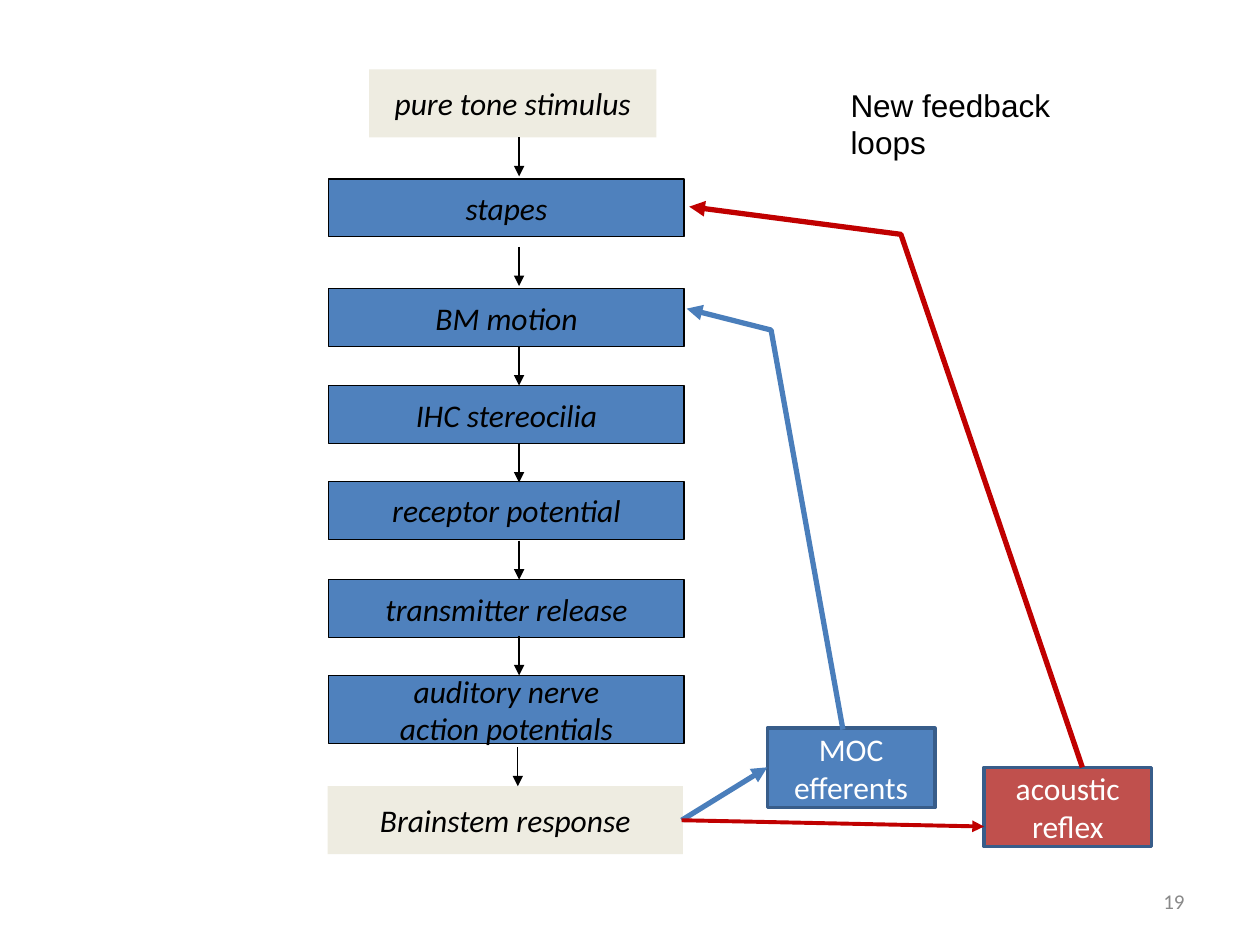
import pptx
import pptx.util
import pptx.dml.color
import pptx.enum.shapes
import pptx.enum.text
import pptx.oxml
import pptx.oxml.ns
from pptx.util import Inches

ALIGN = pptx.enum.text.PP_ALIGN
ANCHOR = pptx.enum.text.MSO_ANCHOR
BLACK, WHITE, GRAY = "000000", "FFFFFF", "898989"
BLUE, BEIGE, RED = "4F81BD", "EEECE1", "C0504D"
EDGE, BLUE_LOOP, RED_LOOP = "385D8A", "4A7EBB", "C00000"


def rgb(color):
    return pptx.dml.color.RGBColor.from_string(color)


class Diagram:
    font = "Calibri"
    size = 18

    def __init__(self, slide):
        self.s = slide

    def text(self, tf, lines, color, align, anchor, size=None, font=None, italic=False):
        tf.auto_size = pptx.enum.text.MSO_AUTO_SIZE.NONE
        tf.vertical_anchor = anchor
        for i, line in enumerate(lines):
            p = tf.add_paragraph() if i else tf.paragraphs[0]
            p.alignment = align
            r = p.add_run()
            r.text = line
            r.font.name = font or self.font
            r.font.size = pptx.util.Pt(size or self.size)
            r.font.italic = italic
            r.font.color.rgb = rgb(color)

    def title(self, text, x, y, w, h):
        sp = self.s.shapes.title
        sp.left, sp.top, sp.width, sp.height = map(Inches, (x, y, w, h))
        sp.text_frame.word_wrap = False
        self.text(sp.text_frame, [text], BLACK, ALIGN.LEFT, ANCHOR.TOP, font="Arial")

    def number(self, text, x, y, w, h):
        sp = self.s.shapes.add_textbox(*map(Inches, (x, y, w, h)))
        sp.text_frame.word_wrap = True
        self.text(sp.text_frame, [text], GRAY, ALIGN.RIGHT, ANCHOR.MIDDLE, size=12)

    def box(self, lines, x, y, w, h, fill, line=None, width=0.75, color=BLACK, italic=True):
        rect = pptx.enum.shapes.MSO_SHAPE.RECTANGLE
        sp = self.s.shapes.add_shape(rect, *map(Inches, (x, y, w, h)))
        sp.shadow.inherit = False
        sp.fill.solid()
        sp.fill.fore_color.rgb = rgb(fill)
        if line:
            self.stroke(sp, line, width)
        else:
            sp.line.fill.background()
        sp.text_frame.word_wrap = not italic
        self.text(sp.text_frame, lines, color, ALIGN.CENTER, ANCHOR.MIDDLE, italic=italic)

    def stroke(self, sp, color, width):
        sp.line.color.rgb = rgb(color)
        sp.line.width = pptx.util.Pt(width)

    def head(self, sp):
        ln = sp.line._get_or_add_ln()
        tail = pptx.oxml.parse_xml(
            "<a:tailEnd %s type='triangle'/>" % pptx.oxml.ns.nsdecls("a"))
        ln.append(tail)

    def arrow(self, start, end, color=BLACK, width=0.75):
        kind = pptx.enum.shapes.MSO_CONNECTOR.STRAIGHT
        c = self.s.shapes.add_connector(kind, *map(Inches, start + end))
        c._element.spPr.append(
            pptx.oxml.parse_xml("<a:effectLst %s/>" % pptx.oxml.ns.nsdecls("a")))
        self.stroke(c, color, width)
        self.head(c)

    def loop(self, points, color):
        pts = [tuple(map(Inches, p)) for p in points]
        fb = self.s.shapes.build_freeform(*pts[0])
        fb.add_line_segments(pts[1:], close=False)
        sp = fb.convert_to_shape()
        sp.shadow.inherit = False
        sp.fill.background()
        self.stroke(sp, color, 3)
        self.head(sp)


def main():
    prs = pptx.Presentation()
    prs.slide_width, prs.slide_height = Inches(10), Inches(7.5)
    d = Diagram(prs.slides.add_slide(prs.slide_layouts[5]))

    d.title("New feedback loops", 6.65, 0.63, 2.45, 0.4)

    stages = [
        (["stapes"], 1.42, 0.46),
        (["BM motion"], 2.29, 0.46),
        (["IHC stereocilia"], 3.06, 0.46),
        (["receptor potential"], 3.82, 0.46),
        (["transmitter release"], 4.6, 0.46),
        (["auditory nerve", "action potentials"], 5.36, 0.54),
    ]
    d.box(["pure tone stimulus"], 2.93, 0.55, 2.28, 0.54, BEIGE)
    for lines, y, h in stages:
        d.box(lines, 2.61, y, 2.82, h, BLUE, BLACK)
    d.box(["Brainstem response"], 2.6, 6.24, 2.82, 0.54, BEIGE)

    for y in (1.09, 1.96, 2.75, 3.52, 4.29, 5.05):
        d.arrow((4.12, y), (4.12, y + 0.31))
    d.arrow((4.11, 5.93), (4.11, 6.24))

    for lines, x, y, fill in ((["MOC", "efferents"], 6.09, 5.78, BLUE),
                              (["acoustic", "reflex"], 7.81, 6.09, RED)):
        d.box(lines, x, y, 1.33, 0.63, fill, EDGE, 2, WHITE, italic=False)

    d.arrow((5.41, 6.51), (6.09, 6.09), BLUE_LOOP, 3)
    d.arrow((5.41, 6.51), (7.81, 6.56), RED_LOOP, 2.25)
    d.loop([(6.69, 5.79), (6.12, 2.62), (5.45, 2.45)], BLUE_LOOP)
    d.loop([(8.59, 6.09), (7.15, 1.86), (5.47, 1.64)], RED_LOOP)

    d.number("19", 7.17, 6.95, 2.33, 0.4)
    prs.save("out.pptx")


if __name__ == "__main__":
    main()
